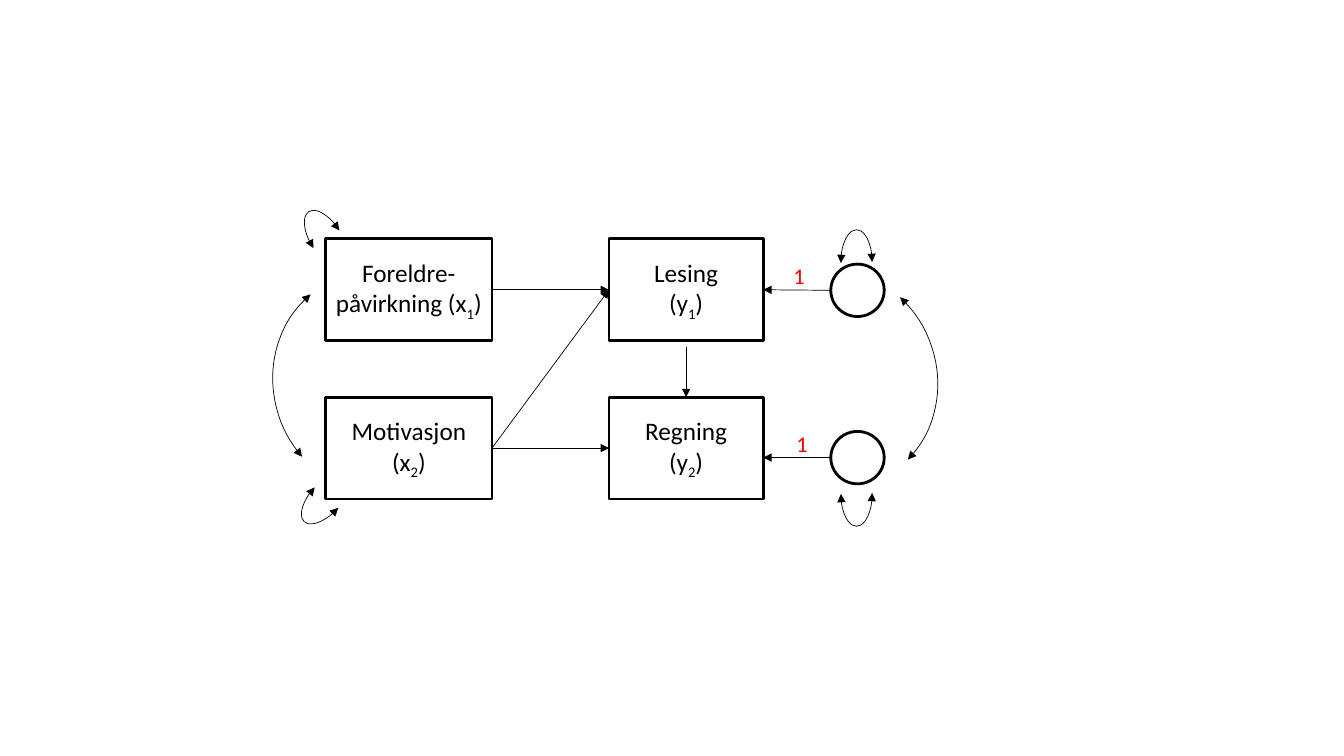
from lxml.etree import SubElement
from pptx import Presentation
from pptx.dml.color import RGBColor
from pptx.enum.shapes import MSO_CONNECTOR, MSO_SHAPE
from pptx.enum.text import MSO_ANCHOR, MSO_AUTO_SIZE, PP_ALIGN
from pptx.oxml.ns import qn
from pptx.util import Inches, Pt

BLACK, RED = "000000", "FF0000"
FONT = "Calibri"
COLUMNS = [(3.23, 1.65), (6.04, 1.53)]
ROWS = [2.37, 3.94]
BOX_HEIGHT = 1.01
CIRCLE_LEFT, CIRCLE_WIDTH, CIRCLE_HEIGHT = 8.24, 0.53, 0.52
CIRCLE_CENTERS = [2.88, 4.54]

VARIABLES = {
    "x1": (0, 0, [[("Foreldre-påvirkning (x", 0), ("1", 1), (")", 0)]]),
    "y1": (1, 0, [[("Lesing", 0)], [("(y", 0), ("1", 1), (")", 0)]]),
    "x2": (0, 1, [[("Motivasjon", 0)], [("(x", 0), ("2", 1), (")", 0)]]),
    "y2": (1, 1, [[("Regning", 0)], [("(y", 0), ("2", 1), (")", 0)]]),
}
PATHS = [("x1", "y1"), ("x2", "y2"), ("x2", "y1")]
WEIGHTS = [(7.77, 2.55), (7.8, 4.22)]
LOOP_SIZE, CURVE_SIZE = (0.31, 0.64), (2.34, 2.22)
HALF_TURN, QUARTER_TURN = (105.66, 0), (162, 0)
ARCS = [
    (8.34, 2.28, LOOP_SIZE, 0, HALF_TURN),
    (8.34, 4.58, LOOP_SIZE, 180, HALF_TURN),
    (3.08, 2.05, LOOP_SIZE, 327.6, HALF_TURN),
    (3.08, 4.62, LOOP_SIZE, 222.9, HALF_TURN),
    (6.99, 2.64, CURVE_SIZE, 43.8, QUARTER_TURN),
    (2.67, 2.7, CURVE_SIZE, 229.5, QUARTER_TURN),
]

presentation = Presentation()
presentation.slide_width, presentation.slide_height = Inches(13.33), Inches(7.5)
slide = presentation.slides.add_slide(presentation.slide_layouts[6])


def color(value):
    return RGBColor.from_string(value)


def style_line(line, width, *arrow_ends):
    line.color.rgb = color(BLACK)
    line.width = Pt(width)
    for end in arrow_ends:
        SubElement(line._get_or_add_ln(), qn(f"a:{end}"), type="triangle")


def write(frame, paragraphs, size=18, fill=BLACK, align=PP_ALIGN.CENTER):
    for index, runs in enumerate(paragraphs):
        paragraph = frame.add_paragraph() if index else frame.paragraphs[0]
        paragraph.alignment = align
        for text, is_subscript in runs:
            run = paragraph.add_run()
            run.text = text
            run.font.name, run.font.size = FONT, Pt(size)
            run.font.color.rgb = color(fill)
            if is_subscript:
                run._r.get_or_add_rPr().set("baseline", "-25000")


def add_outline(kind, left, top, width, height, line_width, *arrow_ends):
    shape = slide.shapes.add_shape(kind, *map(Inches, (left, top, width, height)))
    shape.shadow.inherit = False
    shape.fill.background()
    style_line(shape.line, line_width, *arrow_ends)
    return shape


def add_arrow(start_x, start_y, end_x, end_y):
    points = map(Inches, (start_x, start_y, end_x, end_y))
    arrow = slide.shapes.add_connector(MSO_CONNECTOR.STRAIGHT, *points)
    style_line(arrow.line, 0.5, "tailEnd")
    SubElement(arrow._element.spPr, qn("a:effectLst"))
    return arrow


boxes = {}
for name, (column, row, paragraphs) in VARIABLES.items():
    left, width = COLUMNS[column]
    box = add_outline(MSO_SHAPE.RECTANGLE, left, ROWS[row], width, BOX_HEIGHT, 2)
    box.text_frame.vertical_anchor = MSO_ANCHOR.MIDDLE
    write(box.text_frame, paragraphs)
    boxes[name] = box

for source, target in PATHS:
    arrow = add_arrow(0, 0, 1, 1)
    arrow.begin_connect(boxes[source], 3)
    arrow.end_connect(boxes[target], 1)

outcome_left, outcome_width = COLUMNS[1]
outcome_right = outcome_left + outcome_width
for center in CIRCLE_CENTERS:
    add_outline(MSO_SHAPE.OVAL, CIRCLE_LEFT, center - CIRCLE_HEIGHT / 2,
                CIRCLE_WIDTH, CIRCLE_HEIGHT, 2)
    arrow = add_arrow(CIRCLE_LEFT, center, outcome_right, center)
    if center == CIRCLE_CENTERS[0]:
        arrow.end_connect(boxes["y1"], 3)

outcome_middle = outcome_left + outcome_width / 2
outcome_arrow = add_arrow(outcome_middle, 3.44, outcome_middle, ROWS[1])
outcome_arrow.end_connect(boxes["y2"], 0)

for left, top, size, rotation, angles in ARCS:
    arc = add_outline(MSO_SHAPE.ARC, left, top, *size, 0.5, "headEnd", "tailEnd")
    arc.rotation = rotation
    arc.adjustments[0], arc.adjustments[1] = angles

for left, top in WEIGHTS:
    label = slide.shapes.add_textbox(*map(Inches, (left, top, 0.32, 0.37)))
    label.text_frame.word_wrap = False
    label.text_frame.auto_size = MSO_AUTO_SIZE.SHAPE_TO_FIT_TEXT
    write(label.text_frame, [[("1", 0)]], size=16, fill=RED, align=PP_ALIGN.LEFT)

presentation.save("out.pptx")
